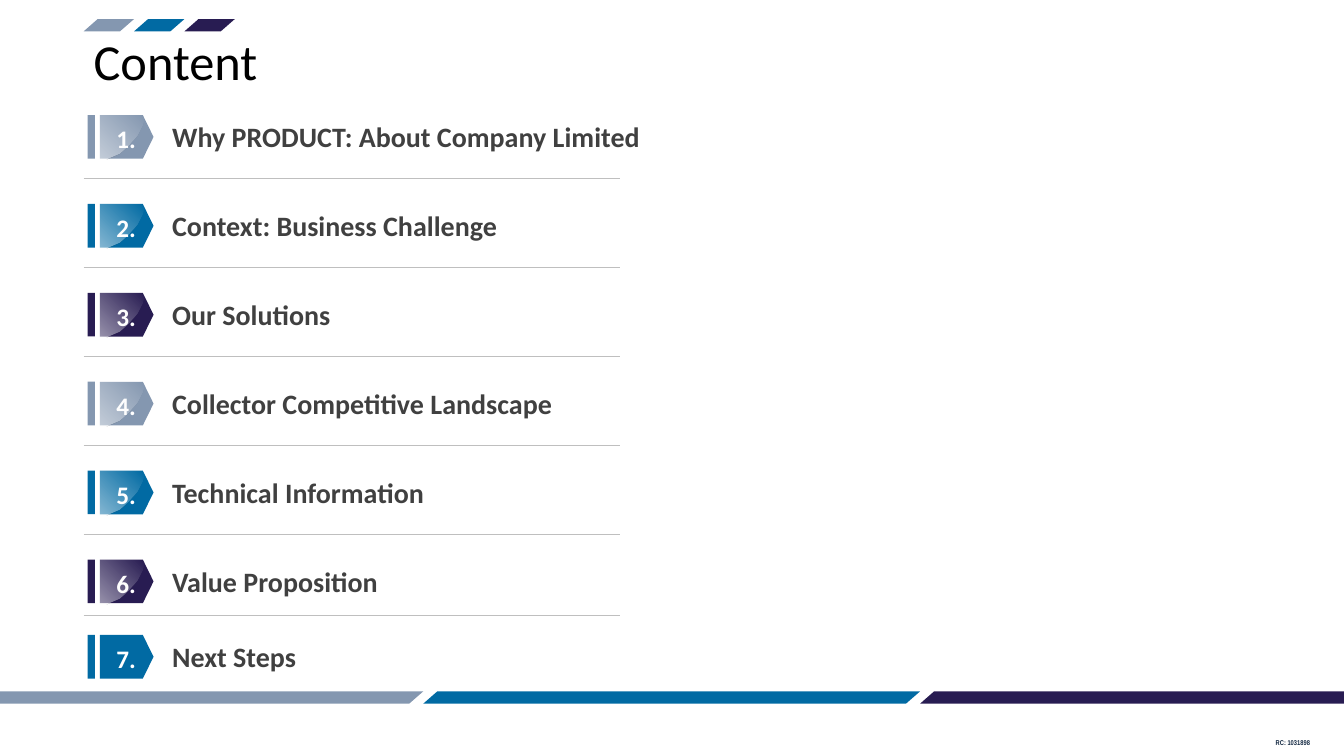
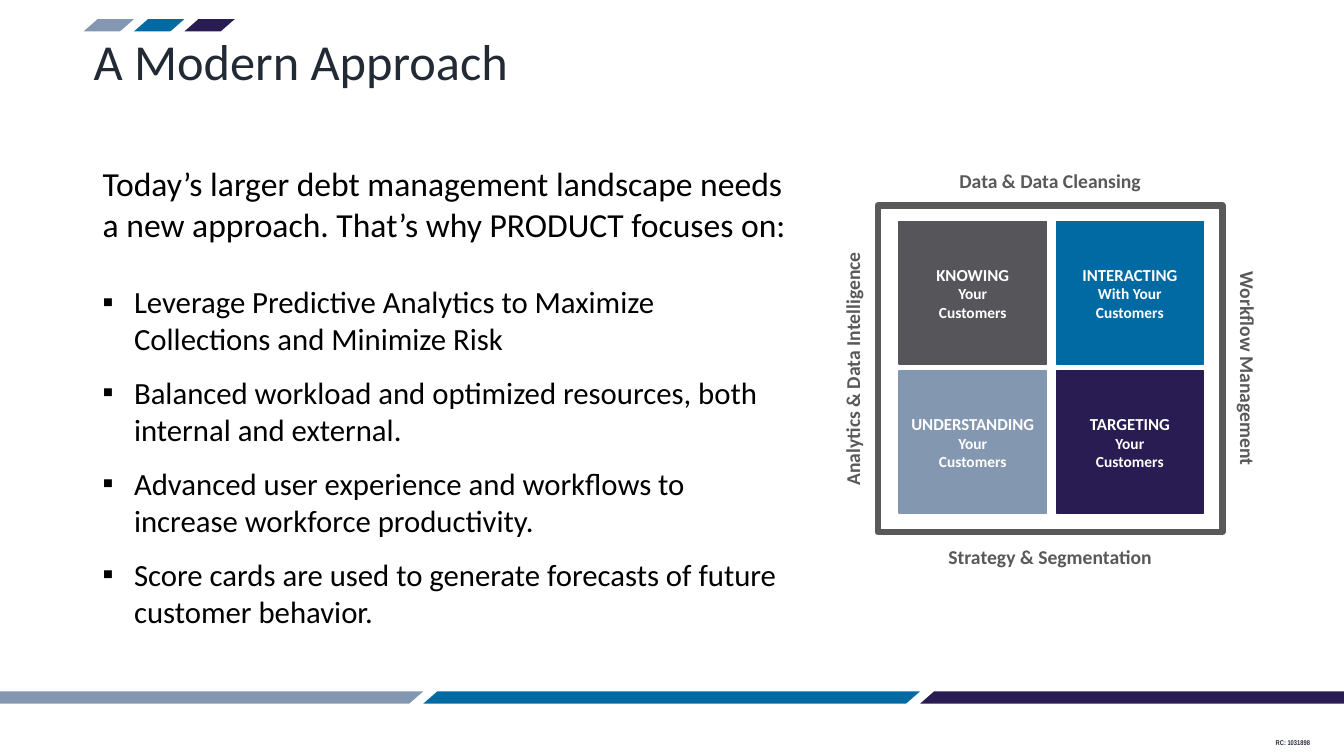
from lxml import etree
from pptx import Presentation
from pptx import util as u
from pptx.dml.color import RGBColor
from pptx.enum import shapes, text
from pptx.oxml import ns

COLORS = {
    "steel": "8497B0",
    "blue": "016AA3",
    "indigo": "281C52",
    "gray": "56565A",
    "frame": "595959",
    "agenda": "404040",
    "rule": "BFBFBF",
    "navy": "0F243E",
    "slate": "222A35",
    "black": "000000",
    "white": "FFFFFF",
}
BRAND = ("steel", "blue", "indigo")
FONT = "Calibri"
FOOTER_FONT = "Arial Narrow"
SLIDE_SIZE = (33.87, 19.05)
SLANT = 1.144

AGENDA = (
    "Why PRODUCT: About Company Limited",
    "Context: Business Challenge",
    "Our Solutions",
    "Collector Competitive Landscape",
    "Technical Information",
    "Value Proposition",
    "Next Steps",
)
INTRO = ("Today’s larger debt management landscape needs a new approach. "
         "That’s why PRODUCT focuses on:")
FOCUS_POINTS = (
    "Leverage Predictive Analytics to Maximize Collections and Minimize Risk",
    "Balanced workload and optimized resources, both internal and external.",
    "Advanced user experience and workflows to increase workforce productivity.",
    "Score cards are used to generate forecasts of future customer behavior.",
)
# column, row, verb, second line, color
TILES = (
    (0, 0, "KNOWING", "Your", "gray"),
    (1, 0, "INTERACTING", "With Your", "blue"),
    (0, 1, "UNDERSTANDING", "Your", "steel"),
    (1, 1, "TARGETING", "Your", "indigo"),
)
# direction from the frame's center, rotation, wording
SIDE_LABELS = (
    (0, -1, 0, "Data & Data Cleansing"),
    (1, 0, 90, "Workflow Management"),
    (0, 1, 0, "Strategy & Segmentation"),
    (-1, 0, 270, "Analytics & Data Intelligence"),
)


def rgb(color):
    return RGBColor.from_string(COLORS[color])


def cm(box):
    return [u.Cm(length) for length in box]


def format_runs(paragraph, size, color, bold=False, font=FONT):
    for run in paragraph.runs:
        run.font.name = font
        run.font.size = u.Pt(size)
        run.font.bold = bold
        run.font.color.rgb = rgb(color)


def add_shape(slide, kind, box, fill=None, line=None, line_width=1):
    shape = slide.shapes.add_shape(kind, *cm(box))
    shape.shadow.inherit = False
    if fill:
        shape.fill.solid()
        shape.fill.fore_color.rgb = rgb(fill)
    else:
        shape.fill.background()
    if line:
        shape.line.color.rgb = rgb(line)
        shape.line.width = u.Pt(line_width)
    else:
        shape.line.fill.background()
    return shape


def add_text(slide, box, content, size, color, bold=False, font=FONT,
             align=text.PP_ALIGN.LEFT, anchor=text.MSO_ANCHOR.TOP, inset=True):
    shape = slide.shapes.add_textbox(*cm(box))
    frame = shape.text_frame
    frame.word_wrap = True
    frame.vertical_anchor = anchor
    if not inset:
        frame.margin_left = frame.margin_top = 0
        frame.margin_right = frame.margin_bottom = 0
    frame.text = content
    for paragraph in frame.paragraphs:
        paragraph.alignment = align
        format_runs(paragraph, size, color, bold, font)
    return shape


def add_slanted_bars(slide, box):
    """Place three equal brand-colored bars end to end, the first filling box."""
    left, top, width, height = box
    for index, color in enumerate(BRAND):
        bar = add_shape(slide, shapes.MSO_SHAPE.PARALLELOGRAM,
                        (left + index * width, top, width, height), color)
        bar.adjustments[0] = SLANT


def add_base_slide(presentation, title, title_color, footer_color):
    slide = presentation.slides.add_slide(presentation.slide_layouts[6])
    add_slanted_bars(slide, (-1.85, 17.42, 12.52, 0.31))
    add_slanted_bars(slide, (2.11, 0.48, 1.27, 0.31))
    add_text(slide, (31.9, 18.49, 1.57, 0.51), "RC: 1031898", 5, footer_color,
             bold=True, font=FOOTER_FONT)
    heading = add_text(slide, (2.11, 0.46, 24.74, 2.34), title, 36, title_color,
                       anchor=text.MSO_ANCHOR.MIDDLE)
    heading.text_frame.paragraphs[0].line_spacing = 0.9
    return slide


def add_gloss(slide, left, top):
    """Lay a highlight, fading toward the upper right, over a badge."""
    outline = ((1.07, 0), (1.12, 0.1), (1.07, 0.28), (0.94, 0.53), (0.74, 0.76),
               (0.51, 0.97), (0.23, 1.09), (0.18, 1.12), (0, 1.12))
    builder = slide.shapes.build_freeform(u.Cm(left), u.Cm(top))
    builder.add_line_segments([(u.Cm(left + x), u.Cm(top + y)) for x, y in outline])
    gloss = builder.convert_to_shape()
    gloss.shadow.inherit = False
    gloss.line.fill.background()
    gloss.fill.gradient()
    gradient = gloss.fill._xPr.find(ns.qn("a:gradFill"))
    for child in list(gradient):
        gradient.remove(child)
    stops = etree.SubElement(gradient, ns.qn("a:gsLst"))
    for position, opacity in ((3, 0), (100, 53)):
        stop = etree.SubElement(stops, ns.qn("a:gs"), pos=str(position * 1000))
        color = etree.SubElement(stop, ns.qn("a:srgbClr"), val=COLORS["white"])
        etree.SubElement(color, ns.qn("a:alpha"), val=str(opacity * 1000))
    etree.SubElement(gradient, ns.qn("a:lin"), ang=str(135 * 60000), scaled="0")


def add_badge(slide, left, top, number, color, glossy):
    length, height = 1.35, 1.1
    add_shape(slide, shapes.MSO_SHAPE.RECTANGLE, (left, top, 0.18, height), color)
    arrow_left = left + 0.31
    # The connector points down, so its box is upright before the turn.
    shift = (length - height) / 2
    arrow = add_shape(slide, shapes.MSO_SHAPE.FLOWCHART_OFFPAGE_CONNECTOR,
                      (arrow_left + shift, top - shift, height, length), color)
    arrow.rotation = 270
    add_text(slide, (left + 0.54, top + 0.21, 0.86, 0.76), f"{number}.", 18, "white",
             bold=True, align=text.PP_ALIGN.CENTER, inset=False)
    if glossy:
        add_gloss(slide, arrow_left, top)


def add_divider(slide, left, top, width):
    line = slide.shapes.add_connector(
        shapes.MSO_CONNECTOR.STRAIGHT, *cm((left, top, left + width, top)))
    line.line.color.rgb = rgb("rule")
    line.line.width = u.Pt(0.5)
    etree.SubElement(line._element.spPr, ns.qn("a:effectLst"))


def add_agenda(slide, left, top):
    pitch, last_top = 2.24, top + 13.1
    last = len(AGENDA) - 1
    tops = [top + index * pitch for index in range(last)] + [last_top]
    for index, (row_top, topic) in enumerate(zip(tops, AGENDA)):
        color = BRAND[index % 3] if index < last else "blue"
        add_badge(slide, left + 0.1, row_top, index + 1, color, index < last)
        add_text(slide, (left + 2.23, row_top + 0.11, 18.87, 0.86), topic, 20, "agenda",
                 bold=True, anchor=text.MSO_ANCHOR.MIDDLE, inset=False)
        if index < last:
            add_divider(slide, left, min(row_top + 1.6, tops[index + 1] - 0.5), 13.52)


def add_focus_text(slide, box):
    shape = add_text(slide, box, "\n".join((INTRO, *FOCUS_POINTS)), 22, "black")
    intro, *points = shape.text_frame.paragraphs
    format_runs(intro, 24, "black")
    intro.space_after = u.Pt(22)
    for paragraph in points:
        paragraph.space_before = paragraph.space_after = u.Pt(6)
        properties = paragraph._p.get_or_add_pPr()
        properties.set("marL", str(u.Cm(0.79)))
        properties.set("indent", str(-u.Cm(0.79)))
        etree.SubElement(properties, ns.qn("a:buFont"), typeface=FONT)
        etree.SubElement(properties, ns.qn("a:buChar"), char="▪")


def add_tile(slide, box, verb, second_line, color):
    tile = add_shape(slide, shapes.MSO_SHAPE.RECTANGLE, box, color, line=color)
    frame = tile.text_frame
    frame.word_wrap = True
    frame.vertical_anchor = text.MSO_ANCHOR.MIDDLE
    frame.text = f"{verb}\n{second_line}\nCustomers"
    for index, paragraph in enumerate(frame.paragraphs):
        paragraph.alignment = text.PP_ALIGN.CENTER
        format_runs(paragraph, 11 if index else 12, "white", bold=True)


def add_customer_matrix(slide, box):
    """Draw the four tiles inside the frame given by box, with a label on each side."""
    left, top, width, height = box
    for column, row, verb, second_line, color in TILES:
        add_tile(slide, (left + 0.54 + column * 3.96, top + 0.41 + row * 3.76, 3.71, 3.58),
                 verb, second_line, color)
    add_shape(slide, shapes.MSO_SHAPE.RECTANGLE, box, line="frame", line_width=4.5)

    label_width, label_height, gap = 7.57, 0.86, 0.63
    for across, down, rotation, wording in SIDE_LABELS:
        center_x = left + width / 2 + across * (width / 2 + gap)
        center_y = top + height / 2 + down * (height / 2 + gap)
        label = add_text(slide, (center_x - label_width / 2, center_y - label_height / 2,
                                 label_width, label_height),
                         wording, 14, "frame", bold=True, align=text.PP_ALIGN.CENTER)
        label.rotation = rotation


def main():
    presentation = Presentation()
    presentation.slide_width, presentation.slide_height = cm(SLIDE_SIZE)

    content = add_base_slide(presentation, "Content", "black", "navy")
    add_agenda(content, 2.11, 2.9)

    approach = add_base_slide(presentation, "A Modern Approach", "slate", "slate")
    add_focus_text(approach, (2.34, 3.99, 17.75, 13.46))
    add_customer_matrix(approach, (22.12, 5.18, 8.69, 8.23))

    presentation.save("out.pptx")


if __name__ == "__main__":
    main()
